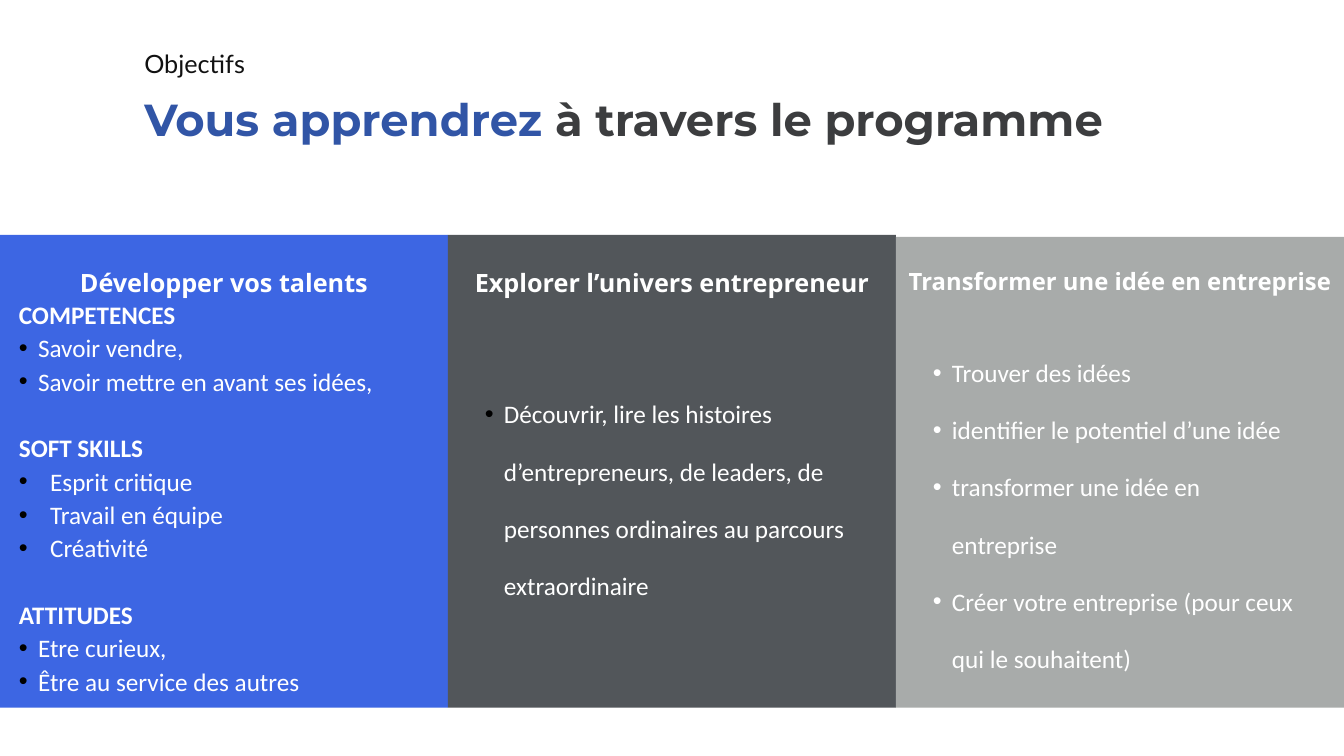
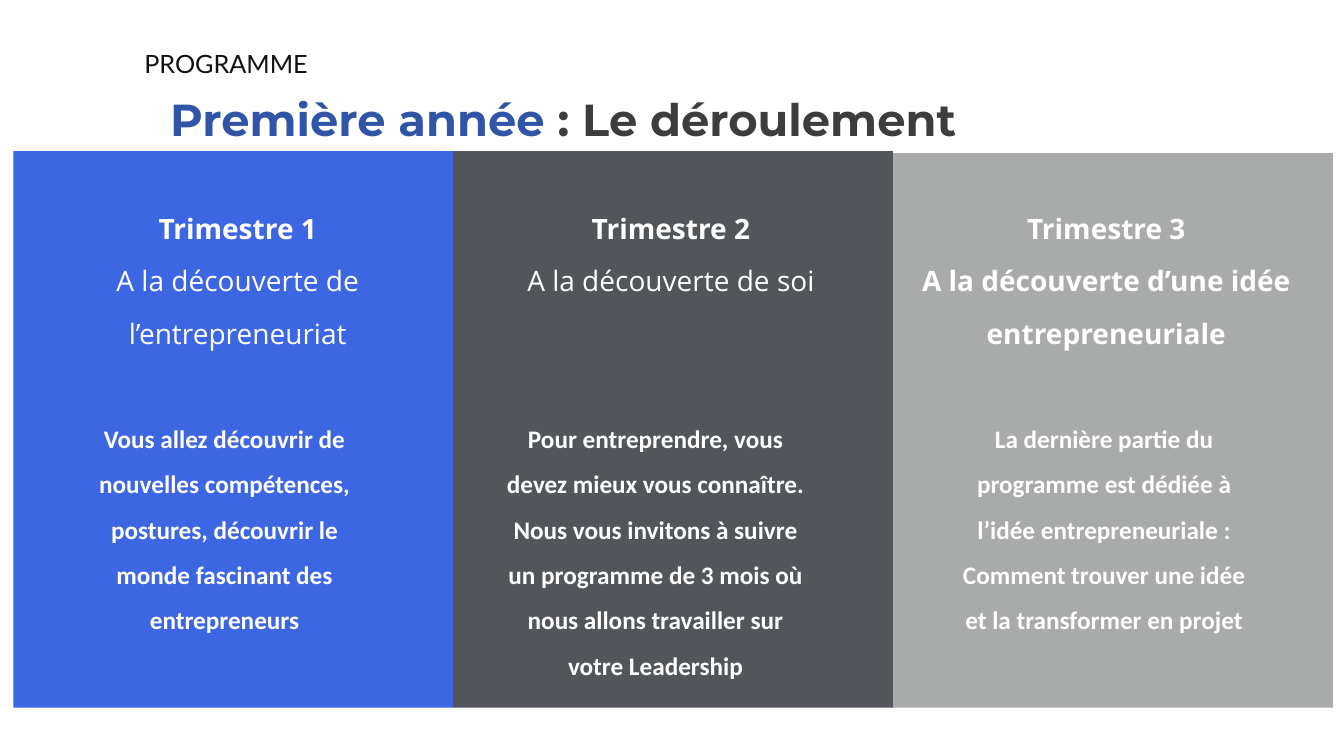
from dataclasses import dataclass

from lxml.etree import SubElement
from pptx import Presentation
from pptx.dml.color import RGBColor
from pptx.enum.shapes import MSO_SHAPE
from pptx.enum.text import MSO_ANCHOR, PP_ALIGN
from pptx.oxml.ns import qn
from pptx.util import Inches, Pt

WIDTH, HEIGHT = 13.33, 7.5
COL, ROW = WIDTH / 12, HEIGHT / 75
PANEL_BOTTOM = 70.2
PANEL_FILLS = ("3D66E3", "52565A", "A8ABAA")
PANEL_DROPS = (0, 0, 0.2)
WHITE, BLACK, INK = "FFFFFF", "000000", "111111"
TITLE_BLUE, TITLE_GREY = "3155A6", "3C3D3F"


@dataclass(frozen=True)
class Style:
    font: str
    size: float
    color: str = WHITE
    spacing: float = 1.0
    align: PP_ALIGN = PP_ALIGN.LEFT


@dataclass(frozen=True)
class Line:
    text: str
    bold: bool = False
    indent: float = 0
    bullet: str = BLACK
    gap: float = 0


@dataclass(frozen=True)
class Block:
    left: float
    width: float
    top: float
    rows: float
    style: Style
    lines: tuple[Line, ...]


@dataclass(frozen=True)
class Page:
    eyebrow: str
    title_col: float
    title: tuple[str, str]
    first_col: float
    last_col: float
    panel_top: float
    columns: tuple[tuple[Block, ...], ...]


EYEBROW = Style("Lato", 18, INK)
TITLE = Style("Montserrat", 32)
HEADING = Style("Open Sans", 18, spacing=1.56, align=PP_ALIGN.CENTER)
LONG_HEADING = Style("Open Sans", 17, spacing=1.56, align=PP_ALIGN.CENTER)
TERM = Style("Open Sans", 20, spacing=1.56, align=PP_ALIGN.CENTER)
SKILLS = Style("Calibri", 18, spacing=1.1)
GOALS = Style("Calibri", 18, spacing=1.89)
SUMMARY = Style("Calibri", 18, spacing=1.5, align=PP_ALIGN.CENTER)


def rgb(value: str) -> RGBColor:
    return RGBColor.from_string(value)


def heading(text: str, style: Style = HEADING) -> Block:
    return Block(0, 1, 24.4, 5.4, style, (Line(text, True),))


def goals(top: float, rows: float, bullet: str, *texts: str) -> Block:
    lines = tuple(Line(text, indent=0.19, bullet=bullet) for text in texts)
    return Block(0.06, 0.87, top, rows, GOALS, lines)


def term(left: float, width: float, name: str, theme: str, bold: bool = False) -> Block:
    return Block(left, width, 18.6, 15, TERM, (Line(name, True), Line(theme, bold)))


def summary(left: float, text: str) -> Block:
    return Block(left, 0.74, 40, 30, SUMMARY, (Line(text, True),))


def add_bullet(paragraph, line: Line) -> None:
    properties = paragraph._p.get_or_add_pPr()
    properties.set("marL", str(Inches(line.indent)))
    properties.set("indent", str(-Inches(line.indent)))
    color = SubElement(properties, qn("a:buClr"))
    SubElement(color, qn("a:srgbClr"), val=line.bullet)
    SubElement(properties, qn("a:buFont"), typeface="Arial")
    SubElement(properties, qn("a:buChar"), char="•")


def style_paragraph(paragraph, style: Style, bold: bool) -> None:
    paragraph.alignment = style.align
    paragraph.line_spacing = style.spacing
    font = paragraph.font
    font.name, font.size, font.bold = style.font, Pt(style.size), bold
    font.color.rgb = rgb(style.color)


def add_frame(slide, left: float, top: float, width: float, height: float):
    frame = slide.shapes.add_textbox(
        Inches(left), Inches(top), Inches(width), Inches(height)
    ).text_frame
    frame.word_wrap = True
    return frame


def draw_header(slide, page: Page) -> None:
    title = add_frame(slide, page.title_col * COL, 8.6 * ROW, 9.1 * COL, 6.4 * ROW)
    paragraph = title.paragraphs[0]
    style_paragraph(paragraph, TITLE, True)
    for text, color in zip(page.title, (TITLE_BLUE, TITLE_GREY)):
        part = paragraph.add_run()
        part.text = text
        part.font.color.rgb = rgb(color)

    eyebrow = add_frame(slide, 1.2 * COL, 4.7 * ROW, 2.9 * COL, 3.1 * ROW)
    eyebrow.vertical_anchor = MSO_ANCHOR.MIDDLE
    eyebrow.paragraphs[0].text = page.eyebrow
    style_paragraph(eyebrow.paragraphs[0], EYEBROW, False)


def draw_panel(slide, left: float, top: float, width: float, fill: str) -> None:
    panel = slide.shapes.add_shape(
        MSO_SHAPE.RECTANGLE,
        Inches(left),
        Inches(top * ROW),
        Inches(width),
        Inches((PANEL_BOTTOM - top) * ROW),
    )
    panel.shadow.inherit = False
    panel.fill.solid()
    panel.fill.fore_color.rgb = rgb(fill)
    panel.line.fill.background()


def draw_block(slide, block: Block, left: float, width: float) -> None:
    frame = add_frame(
        slide,
        left + block.left * width,
        block.top * ROW,
        block.width * width,
        block.rows * ROW,
    )
    for index, line in enumerate(block.lines):
        paragraph = frame.add_paragraph() if index else frame.paragraphs[0]
        paragraph.text = line.text
        if line.indent:
            add_bullet(paragraph, line)
        style_paragraph(paragraph, block.style, line.bold)
        paragraph.space_before = Pt(line.gap)


def draw_page(deck, page: Page) -> None:
    slide = deck.slides.add_slide(deck.slide_layouts[6])
    width = (page.last_col - page.first_col) * COL / len(page.columns)
    panels = zip(page.columns, PANEL_FILLS, PANEL_DROPS)
    for index, (blocks, fill, drop) in enumerate(panels):
        left = page.first_col * COL + index * width
        draw_panel(slide, left, page.panel_top + drop, width, fill)
        for block in blocks:
            draw_block(slide, block, left, width)
    draw_header(slide, page)


TALENTS = (
    Line("COMPETENCES", True),
    Line("Savoir vendre,", indent=0.19),
    Line("Savoir mettre en avant ses idées,", indent=0.19),
    Line("SOFT SKILLS", True, gap=24),
    Line("Esprit critique", indent=0.31),
    Line("Travail en équipe", indent=0.31),
    Line("Créativité", indent=0.31),
    Line("ATTITUDES", True, gap=24),
    Line("Etre curieux,", indent=0.19),
    Line("Être au service des autres", indent=0.19),
)

PAGES = (
    Page(
        "Objectifs", 1.2, ("Vous apprendrez", " à travers le programme"), 0, 12, 23.3,
        (
            (
                heading("Développer vos talents"),
                Block(0.02, 0.95, 28.9, 39.5, SKILLS, TALENTS),
            ),
            (
                heading("Explorer l’univers entrepreneur"),
                goals(
                    36.4, 23, BLACK,
                    "Découvrir, lire les histoires d’entrepreneurs, de leaders, "
                    "de personnes ordinaires au parcours extraordinaire",
                ),
            ),
            (
                heading("Transformer une idée en entreprise", LONG_HEADING),
                goals(
                    32.3, 34.6, WHITE,
                    "Trouver des idées",
                    "identifier le potentiel d’une idée",
                    "transformer une idée en entreprise",
                    "Créer votre entreprise (pour ceux qui le souhaitent)",
                ),
            ),
        ),
    ),
    Page(
        "PROGRAMME", 1.43, ("Première année ", ": Le déroulement"), 0.12, 11.9, 15,
        (
            (
                term(0.05, 0.92, "Trimestre 1", "A la découverte de l’entrepreneuriat"),
                summary(
                    0.11,
                    "Vous allez découvrir de nouvelles compétences, postures, "
                    "découvrir le monde fascinant des entrepreneurs",
                ),
            ),
            (
                term(0.1, 0.79, "Trimestre 2", "A la découverte de soi"),
                summary(
                    0.09,
                    "Pour entreprendre, vous devez mieux vous connaître. "
                    "Nous vous invitons à suivre un programme de 3 mois où "
                    "nous allons travailler sur votre Leadership",
                ),
            ),
            (
                term(
                    0, 0.97, "Trimestre 3",
                    "A la découverte d’une idée entrepreneuriale", True,
                ),
                summary(
                    0.11,
                    "La dernière partie du programme est dédiée à l’idée "
                    "entrepreneuriale : Comment trouver une idée et la "
                    "transformer en projet",
                ),
            ),
        ),
    ),
)


def main() -> None:
    deck = Presentation()
    deck.slide_width, deck.slide_height = Inches(WIDTH), Inches(HEIGHT)
    for page in PAGES:
        draw_page(deck, page)
    deck.save("out.pptx")


if __name__ == "__main__":
    main()
